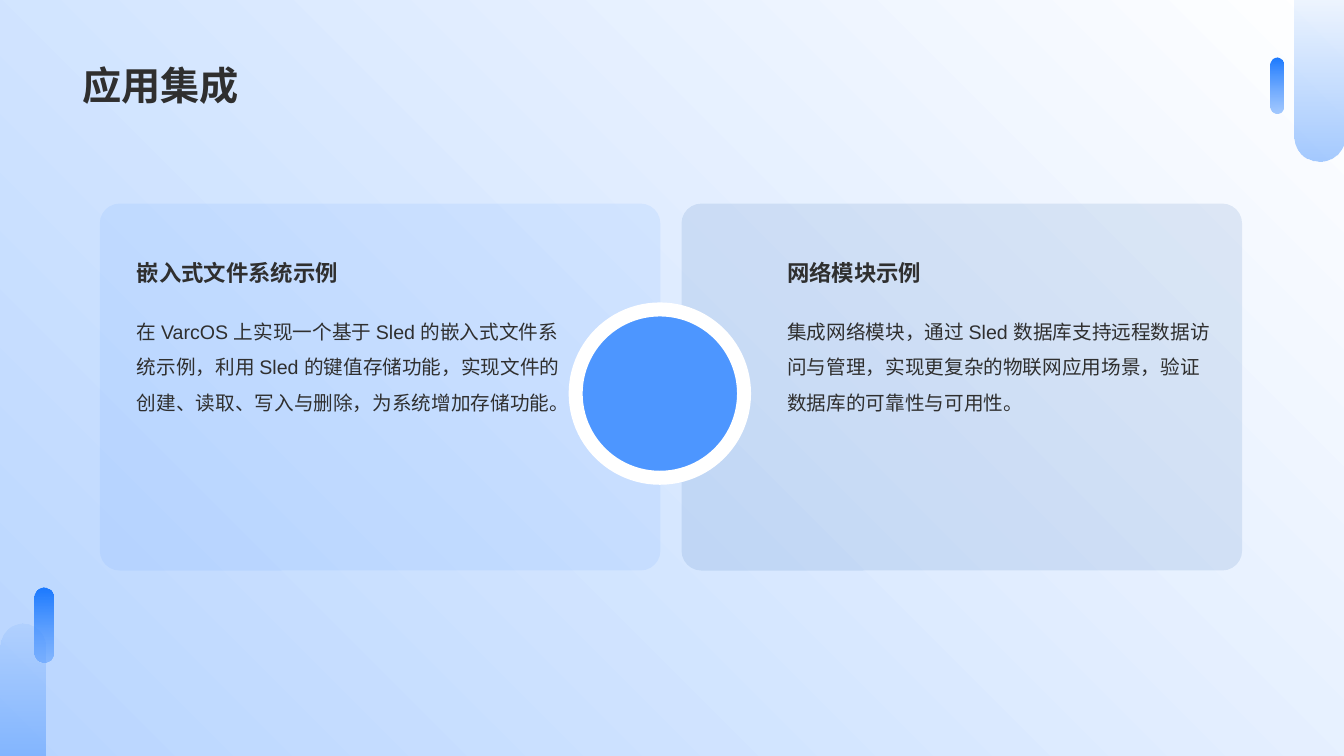
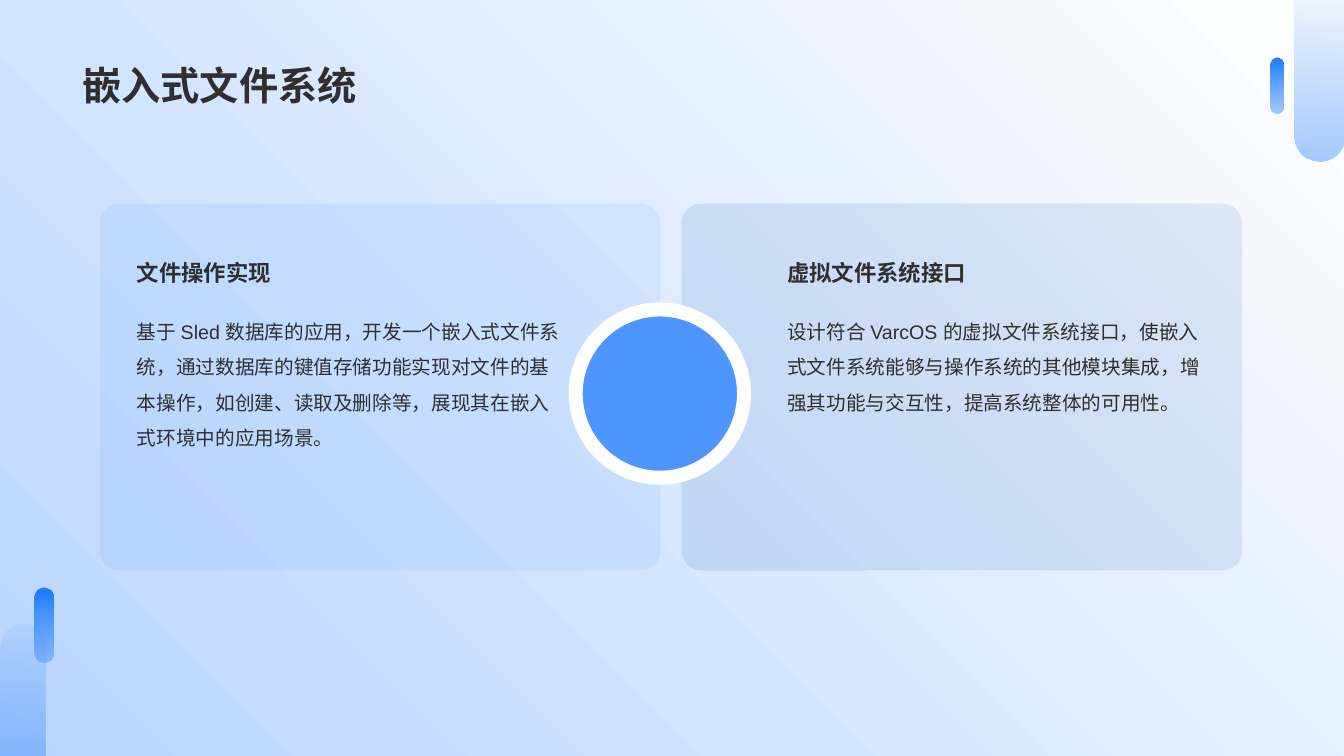
import dataclasses
import typing

import lxml.etree
import pptx
import pptx.dml.color
import pptx.dml.fill
import pptx.enum.lang
import pptx.enum.shapes
import pptx.enum.text
import pptx.oxml.ns
import pptx.shapes.autoshape
import pptx.slide
import pptx.util

Inches = pptx.util.Inches
Pt = pptx.util.Pt
RGB = pptx.dml.color.RGBColor
Shape = pptx.enum.shapes.MSO_SHAPE
Anchor = pptx.enum.text.MSO_ANCHOR
AutoSize = pptx.enum.text.MSO_AUTO_SIZE
qn = pptx.oxml.ns.qn


class Tint(typing.NamedTuple):
    color: RGB
    opacity: int = 100


class Box(typing.NamedTuple):
    left: float
    top: float
    width: float
    height: float

    def lengths(self) -> list[pptx.util.Length]:
        return [Inches(value) for value in self]


@dataclasses.dataclass(frozen=True)
class Theme:
    text: RGB = RGB.from_string("2F2F2F")
    accent: RGB = RGB.from_string("4D96FF")
    strong: RGB = RGB.from_string("1C7AFF")
    navy: RGB = RGB.from_string("0047A1")
    sky: RGB = RGB.from_string("B8D5FF")
    white: RGB = RGB.from_string("FFFFFF")
    heading_font: str = "Noto Sans CJK SC"
    body_font: str = "Arial"
    title_size: int = 28
    heading_size: int = 16
    body_size: int = 14


THEME = Theme()


@dataclasses.dataclass(frozen=True)
class Bar:
    box: Box
    top_rounding: float
    bottom_rounding: float
    gradient: tuple[Tint, Tint]


@dataclasses.dataclass(frozen=True)
class Panel:
    left: float
    text_left: float
    tint: Tint


@dataclasses.dataclass(frozen=True)
class Topic:
    heading: str
    body: str


@dataclasses.dataclass(frozen=True)
class Page:
    title: str
    topics: tuple[Topic, Topic]


PALE = (Tint(THEME.accent, 10), Tint(THEME.accent, 50))
VIVID = (Tint(THEME.strong), Tint(THEME.accent, 50))
BACKGROUND = (Tint(THEME.sky, 70), Tint(THEME.white))

BARS = (
    Bar(Box(12.84, 0, 0.49, 1.6), 0, 0.5, PALE),
    Bar(Box(0, 6.19, 0.45, 1.31), 0.5, 0, PALE),
    Bar(Box(12.6, 0.57, 0.13, 0.56), 0.5, 0.5, VIVID),
    Bar(Box(0.34, 5.83, 0.19, 0.74), 0.5, 0.5, VIVID),
)

PANELS = (
    Panel(0.99, 1.26, Tint(THEME.accent, 10)),
    Panel(6.76, 7.71, Tint(THEME.navy, 10)),
)

PAGES = (
    Page("应用集成", (
        Topic("嵌入式文件系统示例",
              "在 VarcOS 上实现一个基于 Sled 的嵌入式文件系统示例，利用 Sled 的键值存储功能，"
              "实现文件的创建、读取、写入与删除，为系统增加存储功能。"),
        Topic("网络模块示例",
              "集成网络模块，通过 Sled 数据库支持远程数据访问与管理，"
              "实现更复杂的物联网应用场景，验证数据库的可靠性与可用性。"),
    )),
    Page("嵌入式文件系统", (
        Topic("文件操作实现",
              "基于 Sled 数据库的应用，开发一个嵌入式文件系统，通过数据库的键值存储功能"
              "实现对文件的基本操作，如创建、读取及删除等，展现其在嵌入式环境中的应用场景。"),
        Topic("虚拟文件系统接口",
              "设计符合 VarcOS 的虚拟文件系统接口，使嵌入式文件系统能够与操作系统的"
              "其他模块集成，增强其功能与交互性，提高系统整体的可用性。"),
    )),
)


def set_opacity(element: lxml.etree._Element, tints: typing.Iterable[Tint]) -> None:
    for color, tint in zip(list(element.iter(qn("a:srgbClr"))), tints):
        if tint.opacity < 100:
            lxml.etree.SubElement(color, qn("a:alpha"), val=str(tint.opacity * 1000))


def fill_gradient(
    fill: pptx.dml.fill.FillFormat,
    element: lxml.etree._Element,
    tints: tuple[Tint, Tint],
    angle: float,
) -> None:
    fill.gradient()
    fill.gradient_angle = angle
    for stop, tint in zip(fill.gradient_stops, tints):
        stop.color.rgb = tint.color
    set_opacity(element, tints)


def add_plain_shape(
    slide: pptx.slide.Slide, kind: Shape, box: Box, *adjustments: float
) -> pptx.shapes.autoshape.Shape:
    shape = slide.shapes.add_shape(kind, *box.lengths())
    shape.shadow.inherit = False
    shape.line.fill.background()
    for index, value in enumerate(adjustments):
        shape.adjustments[index] = value
    return shape


def add_text(
    slide: pptx.slide.Slide,
    text: str,
    box: Box,
    *,
    size: int,
    font: str = THEME.heading_font,
    bold: bool = True,
    anchor: Anchor = Anchor.BOTTOM,
    auto_size: AutoSize = AutoSize.SHAPE_TO_FIT_TEXT,
    line_spacing: float = 1.0,
) -> None:
    frame = slide.shapes.add_textbox(*box.lengths()).text_frame
    frame.word_wrap = True
    frame.auto_size = auto_size
    frame.vertical_anchor = anchor
    paragraph = frame.paragraphs[0]
    paragraph.line_spacing = line_spacing
    run = paragraph.add_run()
    run.text = text
    run.font.name = font
    run.font.size = Pt(size)
    run.font.bold = bold
    run.font.color.rgb = THEME.text
    run.font.language_id = pptx.enum.lang.MSO_LANGUAGE_ID.SIMPLIFIED_CHINESE
    latin = run.font._element.find(qn("a:latin"))
    east_asian = lxml.etree.Element(qn("a:ea"), typeface=THEME.heading_font)
    latin.addnext(east_asian)


def add_bar(slide: pptx.slide.Slide, bar: Bar) -> None:
    shape = add_plain_shape(
        slide, Shape.ROUND_2_SAME_RECTANGLE, bar.box, bar.top_rounding, bar.bottom_rounding
    )
    fill_gradient(shape.fill, shape.element, bar.gradient, 270)


def add_panel(slide: pptx.slide.Slide, panel: Panel, topic: Topic) -> None:
    card = add_plain_shape(
        slide, Shape.ROUNDED_RECTANGLE, Box(panel.left, 2.02, 5.56, 3.64), 0.054
    )
    card.fill.solid()
    card.fill.fore_color.rgb = panel.tint.color
    set_opacity(card.element, [panel.tint])
    add_text(
        slide, topic.heading, Box(panel.text_left, 2.52, 4.27, 0.37), size=THEME.heading_size
    )
    add_text(
        slide,
        topic.body,
        Box(panel.text_left, 3.01, 4.39, 1.47),
        size=THEME.body_size,
        font=THEME.body_font,
        bold=False,
        anchor=Anchor.TOP,
        line_spacing=1.5,
    )


def add_center_circle(slide: pptx.slide.Slide) -> None:
    circle = add_plain_shape(slide, Shape.OVAL, Box(5.71, 3.07, 1.67, 1.67))
    circle.fill.solid()
    circle.fill.fore_color.rgb = THEME.accent
    circle.line.color.rgb = THEME.white
    circle.line.width = Pt(10)


def add_page(presentation: pptx.presentation.Presentation, page: Page) -> None:
    slide = presentation.slides.add_slide(presentation.slide_layouts[6])
    fill_gradient(slide.background.fill, slide.element, BACKGROUND, 45)
    for bar in BARS:
        add_bar(slide, bar)
    add_text(
        slide,
        page.title,
        Box(0.72, 0.14, 11.88, 0.98),
        size=THEME.title_size,
        auto_size=AutoSize.NONE,
    )
    for panel, topic in zip(PANELS, page.topics):
        add_panel(slide, panel, topic)
    add_center_circle(slide)


def main() -> None:
    presentation = pptx.Presentation()
    presentation.slide_width = Inches(13.33)
    presentation.slide_height = Inches(7.5)
    for page in PAGES:
        add_page(presentation, page)
    presentation.save("out.pptx")


if __name__ == "__main__":
    main()
